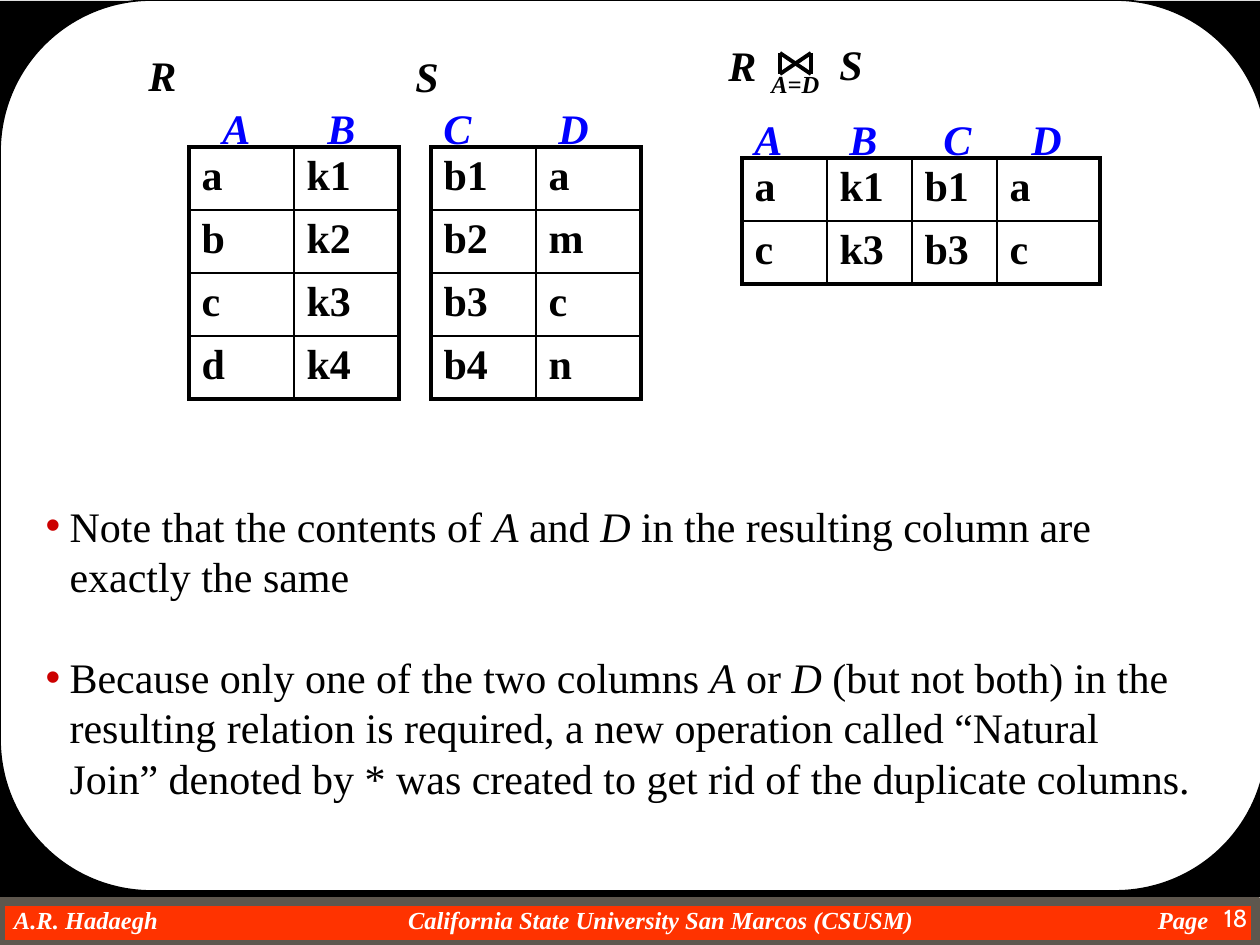
from dataclasses import dataclass

from lxml import etree
from pptx import Presentation
from pptx.dml.color import RGBColor
from pptx.enum.shapes import MSO_CONNECTOR, MSO_SHAPE
from pptx.enum.text import MSO_ANCHOR, MSO_AUTO_SIZE, PP_ALIGN
from pptx.oxml.ns import qn
from pptx.util import Pt

STRAIGHT = MSO_CONNECTOR.STRAIGHT
RECT, ROUNDED = MSO_SHAPE.RECTANGLE, MSO_SHAPE.ROUNDED_RECTANGLE
LEFT, RIGHT = PP_ALIGN.LEFT, PP_ALIGN.RIGHT
TOP, NO_FIT = MSO_ANCHOR.TOP, MSO_AUTO_SIZE.NONE

EMU_PER_PX = 914400 / 126
SERIF = "Times New Roman"
BLACK, WHITE, BLUE, RED = "000000", "FFFFFF", "0000FF", "CC0000"
ORANGE, GREY = "FF3300", "5E574E"
OUTER, INNER = 2.25, 1
ROW_HEIGHT = 63


@dataclass
class Label:
    text: str
    x: int
    y: int
    color: str = BLACK
    size: int = 24


@dataclass
class Relation:
    x: int
    y: int
    widths: list[int]
    rows: list[str]


RELATIONS = [
    Relation(189, 147, [105, 105], ["a k1", "b k2", "c k3", "d k4"]),
    Relation(431, 147, [105, 105], ["b1 a", "b2 m", "b3 c", "b4 n"]),
    Relation(742, 158, [85, 85, 85, 103], ["a k1 b1 a", "c k3 b3 c"]),
]
LABELS = [
    Label("R", 136, 43), Label("S", 403, 44),
    Label("R", 716, 33), Label("S", 827, 32),
    Label("A=D", 759, 63, size=14),
    *[Label(t, x, 96, BLUE) for t, x in zip("ABCD", (210, 315, 431, 546))],
    *[Label(t, x, 107, BLUE) for t, x in zip("ABCD", (742, 837, 931, 1019))],
]
FOOTER = [("A.R. Hadaegh", 14, 300),
          ("California State University San Marcos (CSUSM)", 408, 560),
          ("Page", 1158, 60)]
# Odd-numbered pieces are italic
NOTES = [
    ["Note that the contents of ", "A", " and ", "D",
     " in the resulting column are exactly the same"],
    ["Because only one of the two columns ", "A", " or ", "D",
     " (but not both) in the resulting relation is required, a new operation "
     "called “Natural Join” denoted by * was created to get rid of the "
     "duplicate columns."],
]


def px(n: float) -> int:
    return round(n * EMU_PER_PX)


def rgb(color: str) -> RGBColor:
    return RGBColor.from_string(color)


def add_run(p, text: str, size: int, color: str, bold=False, italic=False,
            font=SERIF) -> None:
    r = p.add_run()
    r.text = text
    r.font.name, r.font.size = font, Pt(size)
    r.font.bold, r.font.italic = bold, italic
    r.font.color.rgb = rgb(color)


def add_panel(s, kind, box: tuple[int, ...], fill: str, line="", weight=1):
    sp = s.shapes.add_shape(kind, *map(px, box))
    sp.shadow.inherit = False
    sp.fill.solid()
    sp.fill.fore_color.rgb = rgb(fill)
    if line:
        sp.line.color.rgb = rgb(line)
        sp.line.width = Pt(weight)
    else:
        sp.line.fill.background()
    return sp


def add_text_box(s, box: tuple[int, ...], wrap=False, inset=True):
    """Add an empty text box and return its first paragraph."""
    tf = s.shapes.add_textbox(*map(px, box)).text_frame
    tf.word_wrap = wrap
    if not inset:
        tf.margin_left = tf.margin_top = tf.margin_right = tf.margin_bottom = 0
    tf.paragraphs[0].alignment = LEFT
    return tf.paragraphs[0]


def set_borders(cell, weights: dict[str, float]) -> None:
    tc_pr = cell._tc.get_or_add_tcPr()
    for i, (side, weight) in enumerate(weights.items()):
        ln = etree.Element(qn(f"a:ln{side}"), w=str(Pt(weight)))
        fill = etree.SubElement(ln, qn("a:solidFill"))
        etree.SubElement(fill, qn("a:srgbClr"), val=BLACK)
        tc_pr.insert(i, ln)


def add_relation(s, rel: Relation) -> None:
    n_rows, n_cols = len(rel.rows), len(rel.widths)
    table = s.shapes.add_table(n_rows, n_cols, px(rel.x), px(rel.y),
                               px(sum(rel.widths)), px(n_rows * ROW_HEIGHT)).table
    table.first_row = table.horz_banding = False
    for col, width in zip(table.columns, rel.widths):
        col.width = px(width)
    for i, row in enumerate(rel.rows):
        for j, value in enumerate(row.split()):
            cell = table.cell(i, j)
            cell.fill.background()
            add_run(cell.text_frame.paragraphs[0], value, 24, BLACK, bold=True)
            set_borders(cell, {
                "L": OUTER if j == 0 else INNER,
                "R": OUTER if j == n_cols - 1 else INNER,
                "T": OUTER if i == 0 else INNER,
                "B": OUTER if i == n_rows - 1 else INNER,
            })


def add_join_symbol(s, x1: int, y1: int, x2: int, y2: int) -> None:
    group = s.shapes.add_group_shape()
    for ends in ((x1, y1, x2, y2), (x1, y2, x2, y1),
                 (x2, y1, x2, y2), (x1, y1, x1, y2)):
        line = group.shapes.add_connector(STRAIGHT, *map(px, ends))
        line.line.color.rgb = rgb(BLACK)
        line.line.width = Pt(2.25)
        etree.SubElement(line._element.spPr, qn("a:effectLst"))


def set_bullet(p, indent: int) -> None:
    p_pr = p._p.get_or_add_pPr()
    p_pr.set("marL", str(px(indent)))
    p_pr.set("indent", str(-px(indent)))
    color = etree.SubElement(p_pr, qn("a:buClr"))
    etree.SubElement(color, qn("a:srgbClr"), val=RED)
    etree.SubElement(p_pr, qn("a:buChar"), char="•")


def fill_notes(body) -> None:
    body.left, body.top, body.width, body.height = map(px, (33, 494, 1174, 315))
    tf = body.text_frame
    tf.auto_size, tf.vertical_anchor, tf.word_wrap = NO_FIT, TOP, True
    for i, pieces in enumerate(NOTES):
        p = tf.add_paragraph() if i else tf.paragraphs[0]
        p.line_spacing = Pt(28.8)
        p.space_before = Pt(28.8 if i else 0)
        set_bullet(p, 24)
        for j, text in enumerate(pieces):
            add_run(p, text, 24, BLACK, italic=j % 2 == 1)


def add_frame(s) -> None:
    add_panel(s, RECT, (0, 901, 1256, 44), ORANGE, GREY, 6)
    for text, x, width in FOOTER:
        p = add_text_box(s, (x, 905, width, 29), inset=False)
        add_run(p, text, 14, WHITE, bold=True, italic=True)
    add_panel(s, RECT, (0, 1, 1260, 896), BLACK)
    panel = add_panel(s, ROUNDED, (0, 0, 1267, 891), WHITE, BLACK)
    panel.adjustments[0] = 0.17
    p = add_text_box(s, (1166, 897, 94, 48), wrap=True)
    p.alignment = RIGHT
    add_run(p, "18", 14, WHITE, font="Cabin")


def main() -> None:
    prs = Presentation()
    prs.slide_width, prs.slide_height = px(1260), px(945)
    s = prs.slides.add_slide(prs.slide_layouts[1])
    title, body = s.placeholders
    title._element.getparent().remove(title._element)
    add_frame(s)
    s.shapes._spTree.append(body._element)  # bring the notes above the panel
    fill_notes(body)
    for rel in RELATIONS:
        add_relation(s, rel)
    for label in LABELS:
        p = add_text_box(s, (label.x, label.y, 73 if label.size < 24 else 53,
                             42 if label.size < 24 else 63))
        add_run(p, label.text, label.size, label.color, bold=True, italic=True)
    add_join_symbol(s, 780, 53, 811, 74)
    prs.save("out.pptx")


if __name__ == "__main__":
    main()
